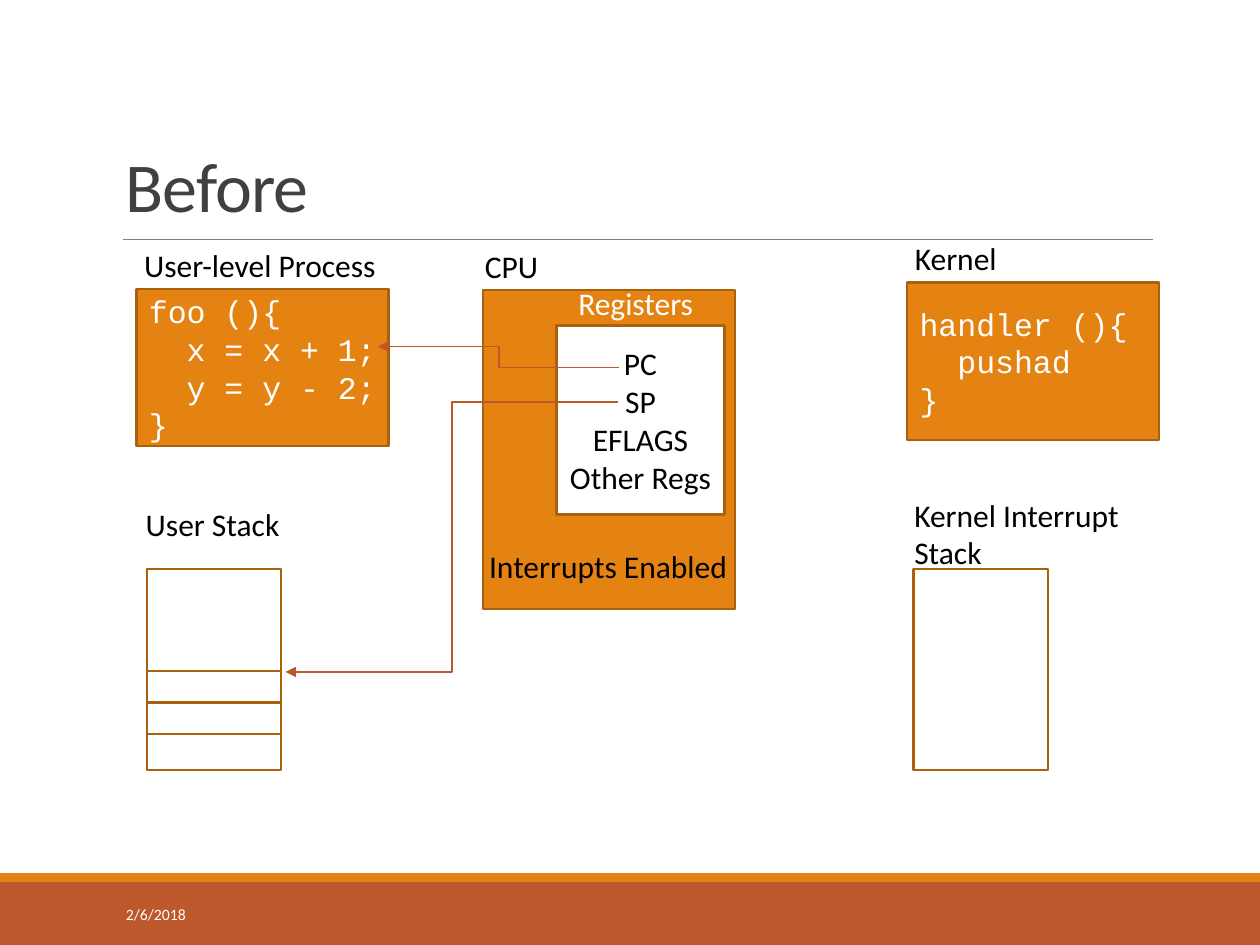
from pptx import Presentation
from pptx import util as u
from pptx.dml.color import RGBColor
from pptx.enum import shapes, text
from pptx.oxml.ns import qn
from lxml import etree

ORANGE = RGBColor(0xE4, 0x83, 0x12)
BROWN = RGBColor(0xA9, 0x61, 0x0D)
RUST = RGBColor(0xBD, 0x58, 0x2C)
GREY = RGBColor(0x80, 0x80, 0x80)
CHARCOAL = RGBColor(0x40, 0x40, 0x40)
BLACK = RGBColor(0, 0, 0)
WHITE = RGBColor(0xFF, 0xFF, 0xFF)

COLS, ROWS = 120, 90  # square cells, twelve to the inch
LABEL_H = 4.8
LABEL_RISE = 4.7
CODE = {"name": "Courier New", "color": WHITE}


def cells(*counts):
    return [u.Inches(n / 12) for n in counts]


def write(sp, words, name="Calibri", size=18, color=BLACK, align=None,
          anchor=text.MSO_ANCHOR.TOP, wrap=True):
    tf = sp.text_frame
    tf.text = words
    for key, value in {"word_wrap": wrap, "vertical_anchor": anchor}.items():
        setattr(tf, key, value)
    for p in tf.paragraphs:
        p.alignment = align or text.PP_ALIGN.LEFT
        for r in p.runs:
            for key, value in {"name": name, "size": u.Pt(size)}.items():
                setattr(r.font, key, value)
            r.font.color.rgb = color
    return tf


def label(s, x, y, w, words, h=LABEL_H, **style):
    return write(s.shapes.add_textbox(*cells(x, y, w, h)), words, **style)


def block(s, x, y, w, h, fill=WHITE, line=BROWN):
    sp = s.shapes.add_shape(shapes.MSO_SHAPE.RECTANGLE, *cells(x, y, w, h))
    sp.shadow.inherit = False
    sp.fill.solid()
    sp.fill.fore_color.rgb = fill
    if line is None:
        sp.line.fill.background()
    else:
        sp.line.color.rgb = line
        sp.line.width = u.Pt(1.25)
    return sp


def connector(s, kind, start, end, color, width):
    sp = s.shapes.add_connector(kind, *cells(*start, *end))
    sp.line.color.rgb = color
    sp.line.width = u.Pt(width)
    etree.SubElement(sp._element.spPr, qn("a:effectLst"))
    return sp


def pointer(s, start, end):
    """Elbow line from a register to what it points at."""
    sp = connector(s, shapes.MSO_CONNECTOR.ELBOW, start, end, RUST, 1)
    etree.SubElement(sp.line._get_or_add_ln(), qn("a:tailEnd"), type="triangle")


def frame(s):
    """Title, rule and footer bands."""
    block(s, 0, ROWS - 6, COLS, 6, RUST, None)
    block(s, 0, ROWS - 6.84, COLS, 0.84, ORANGE, None)
    connector(s, shapes.MSO_CONNECTOR.STRAIGHT, (11.76, 22.8), (109.8, 22.8), GREY, 0.5)
    tf = label(s, 10.8, 3.7, 99, "Before", h=18.5, size=40, color=CHARCOAL,
               anchor=text.MSO_ANCHOR.BOTTOM)
    p = tf.paragraphs[0]
    p.line_spacing = 0.85
    p.runs[0].font._element.set("spc", "-50")
    label(s, 10.8, 84.7, 24.4, "2/6/2018", size=9, color=WHITE,
          anchor=text.MSO_ANCHOR.MIDDLE)


def program(s, x, y, name, name_w, code):
    """Code block with its name above it."""
    write(block(s, x, y, 24, 15, ORANGE), code,
          anchor=text.MSO_ANCHOR.MIDDLE, **CODE)
    label(s, x - 0.45, y - LABEL_RISE, name_w, name, wrap=False)


def cpu(s, x, y):
    block(s, x, y, 24, 30.4, ORANGE)
    label(s, x - 1, y - LABEL_RISE, 10, "CPU")
    write(block(s, x + 7, y + 3.4, 16, 18), "PC\nSP\nEFLAGS\nOther Regs",
          align=text.PP_ALIGN.CENTER, anchor=text.MSO_ANCHOR.MIDDLE)
    label(s, x + 7.9, y - 1.1, 14.2, "Registers", color=WHITE)
    label(s, x - 0.6, y + 23.9, 25.3, "Interrupts Enabled", wrap=False)


def stack(s, x, y, entries=0):
    """Stack whose entries fill it from the bottom."""
    w, h, entry_h, step = 12.8, 19.1, 3.4, 3
    used = entry_h + step * (entries - 1) if entries else 0
    for i in range(entries):
        block(s, x, y + h - used + i * step, w, entry_h)
    block(s, x, y, w, h - used)


def main():
    prs = Presentation()
    prs.slide_width, prs.slide_height = cells(COLS, ROWS)
    s = prs.slides.add_slide(prs.slide_layouts[6])
    frame(s)
    program(s, 13, 27.5, "User-level Process", 24.7,
            "foo (){\n  x = x + 1;\n  y = y - 2;\n}")
    cpu(s, 46, 27.6)
    program(s, 86.4, 26.9, "Kernel", 10.3, "handler (){\n  pushad\n}")
    label(s, 12.7, 47.5, 15.2, "User Stack", wrap=False)
    stack(s, 14, 54.2, entries=3)
    label(s, 85.9, 46.6, 22.1, "Kernel Interrupt\nStack", h=8.5, wrap=False)
    stack(s, 87, 54.2)
    pointer(s, (58.9, 38.3), (27.2, 64))
    pointer(s, (59, 35), (36, 33))
    prs.save("out.pptx")


if __name__ == "__main__":
    main()
